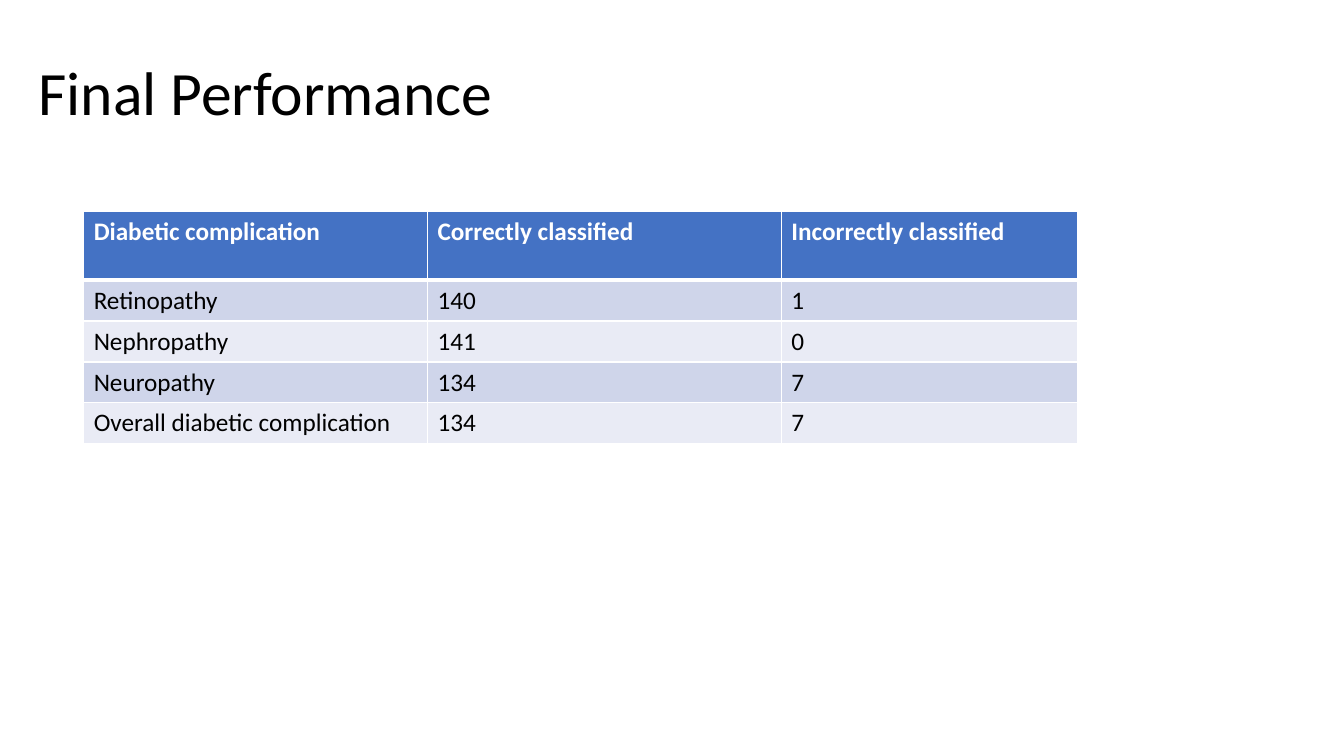
from dataclasses import dataclass
from typing import Any

from lxml import etree
from pptx import Presentation
from pptx import util as u
from pptx.dml.color import RGBColor
from pptx.enum import text
from pptx.oxml.ns import qn

FONT = "Calibri"
WHITE, BLACK = "FFFFFF", "000000"
HEADER_FILL = "4472C4"
BAND_FILLS = ("CFD5EA", "E9EBF5")
THIN, THICK = 1, 3


@dataclass(frozen=True)
class RowStyle:
    height: float
    fill: str
    ink: str
    bold: bool
    top: int
    bottom: int


COLUMN_WIDTHS = (3.41, 3.51, 2.94)
RESULTS = (
    ("Diabetic complication", "Correctly classified", "Incorrectly classified"),
    ("Retinopathy", "140", "1"),
    ("Nephropathy", "141", "0"),
    ("Neuropathy", "134", "7"),
    ("Overall diabetic complication", "134", "7"),
)


def color(value: str) -> RGBColor:
    return RGBColor.from_string(value)


def apply(target: Any, values: dict[str, Any]) -> None:
    for name, value in values.items():
        setattr(target, name, value)


def write(frame: Any, words: str, size: int, ink: str, bold: bool = False) -> Any:
    para = frame.paragraphs[0]
    para.alignment = text.PP_ALIGN.LEFT
    span = para.add_run()
    span.text = words
    apply(span.font, {"name": FONT, "size": u.Pt(size), "bold": bold})
    span.font.color.rgb = color(ink)
    return para


def row_style(row: int) -> RowStyle:
    if row == 0:
        return RowStyle(0.68, HEADER_FILL, WHITE, True, THIN, THICK)
    top = THICK if row == 1 else THIN
    return RowStyle(0.39, BAND_FILLS[(row - 1) % 2], BLACK, False, top, THIN)


def draw_borders(cell: Any, style: RowStyle) -> None:
    properties = cell._tc.get_or_add_tcPr()
    sides = {"L": THIN, "R": THIN, "T": style.top, "B": style.bottom}
    for side, points in sides.items():
        line = etree.SubElement(properties, qn(f"a:ln{side}"), w=str(u.Pt(points)))
        fill = etree.SubElement(line, qn("a:solidFill"))
        etree.SubElement(fill, qn("a:srgbClr"), val=WHITE)


def draw_cell(cell: Any, words: str, style: RowStyle) -> None:
    draw_borders(cell, style)
    cell.fill.solid()
    cell.fill.fore_color.rgb = color(style.fill)
    write(cell.text_frame, words, 18, style.ink, style.bold)


# Deck and page
deck = Presentation()
apply(deck, {"slide_width": u.Inches(13.33), "slide_height": u.Inches(7.5)})
page = deck.slides.add_slide(deck.slide_layouts[5])

# Title
title = page.shapes.title
apply(title, {"left": u.Inches(0.28), "top": u.Inches(0.22),
              "width": u.Inches(12.95), "height": u.Inches(1.45)})
apply(title.text_frame, {"word_wrap": True, "auto_size": text.MSO_AUTO_SIZE.NONE,
                         "vertical_anchor": text.MSO_ANCHOR.MIDDLE})
write(title.text_frame, "Final Performance", 44, BLACK).line_spacing = 0.9

# Classification results
styles = [row_style(row) for row in range(len(RESULTS))]
table = page.shapes.add_table(
    len(RESULTS), len(COLUMN_WIDTHS), u.Inches(0.83), u.Inches(2.1),
    u.Inches(sum(COLUMN_WIDTHS)), u.Inches(sum(style.height for style in styles)),
).table
for column, width in zip(table.columns, COLUMN_WIDTHS):
    column.width = u.Inches(width)
for row, style, values in zip(table.rows, styles, RESULTS):
    row.height = u.Inches(style.height)
    for cell, words in zip(row.cells, values):
        draw_cell(cell, words, style)

deck.save("out.pptx")
